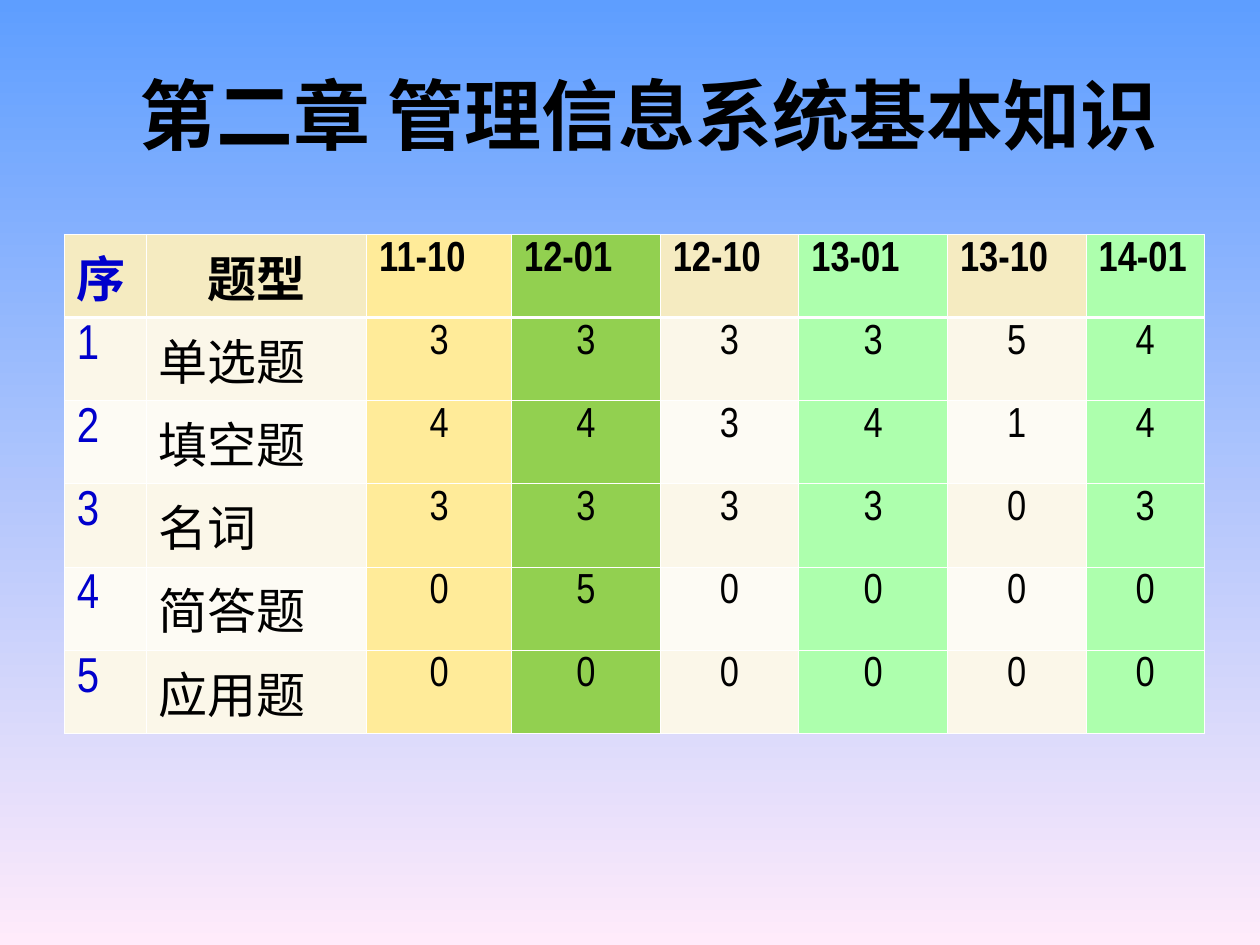
from lxml import etree
from pptx import Presentation
from pptx.dml.color import RGBColor
from pptx.enum import text
from pptx.oxml import ns
from pptx.util import Inches, Pt

LEFT, MID = text.PP_ALIGN.LEFT, text.PP_ALIGN.CENTER
BLACK, BLUE, WHITE = "000000", "0000CC", "FFFFFF"
HEAD, BANDS = "F5EBC1", ("FBF7E9", "FDFBF4")
TINTS = {2: "FFEB99", 3: "92D050", 5: "ADFFAD", 7: "ADFFAD"}
THIN, THICK = 0.45, 1.47

WIDTHS = [0.65, 1.75, 1.15, 1.18, 1.1, 1.18, 1.1, 0.94]
TERMS = ["11-10", "12-01", "12-10", "13-01", "13-10", "14-01"]
COUNTS = {
    "单选题": [3, 3, 3, 3, 5, 4],
    "填空题": [4, 4, 3, 4, 1, 4],
    "名词": [3, 3, 3, 3, 0, 3],
    "简答题": [0, 5, 0, 0, 0, 0],
    "应用题": [0, 0, 0, 0, 0, 0],
}


def rgb(code):
    return RGBColor.from_string(code)


class Page:
    def __init__(self, deck, font):
        self.slide = deck.slides.add_slide(deck.slide_layouts[6])
        self.font = font

    def backdrop(self, top, bottom):
        fill = self.slide.background.fill
        fill.gradient()
        fill.gradient_angle = 270
        for stop, code in zip(fill.gradient_stops, (top, bottom)):
            stop.color.rgb = rgb(code)

    def label(self, frame, words, size, color=BLACK, bold=False, align=LEFT):
        frame.text = words
        para = frame.paragraphs[0]
        para.alignment = align
        font = para.runs[0].font
        font.name, font.size, font.bold = self.font, Pt(size), bold
        font.color.rgb = rgb(color)

    def title(self, words, box):
        frame = self.slide.shapes.add_textbox(*map(Inches, box)).text_frame
        frame.word_wrap = True
        frame.vertical_anchor = text.MSO_ANCHOR.MIDDLE
        self.label(frame, words, 44, bold=True, align=MID)

    def border(self, cell, top, bottom):
        props = cell._tc.get_or_add_tcPr()
        for side, width in zip("LRTB", (THIN, THIN, top, bottom)):
            line = etree.SubElement(props, ns.qn(f"a:ln{side}"), w=str(Pt(width)))
            solid = etree.SubElement(line, ns.qn("a:solidFill"))
            etree.SubElement(solid, ns.qn("a:srgbClr"), val=WHITE)

    def table(self, rows, widths, left, top, height):
        """Tinted columns keep their colour; the others are banded by row."""
        grid = self.slide.shapes.add_table(
            len(rows), len(widths), Inches(left), Inches(top),
            Inches(sum(widths)), Inches(height * len(rows))).table
        for col, width in zip(grid.columns, widths):
            col.width = Inches(width)
        for r, row in enumerate(rows):
            grid.rows[r].height = Inches(height)
            base = BANDS[(r - 1) % 2] if r else HEAD
            for c, value in enumerate(row):
                cell = grid.cell(r, c)
                self.border(cell, THICK if r == 1 else THIN, THIN if r else THICK)
                cell.fill.solid()
                cell.fill.fore_color.rgb = rgb(TINTS.get(c, base))
                centred = c > 1 if r else c == 1
                self.label(cell.text_frame, str(value), 28 if c < 2 else 24,
                           BLACK if c else BLUE, r == 0, MID if centred else LEFT)


def main():
    deck = Presentation()
    deck.slide_width, deck.slide_height = Inches(10), Inches(7.5)
    page = Page(deck, "Arial Narrow")
    page.backdrop("5E9EFF", "FFEBFA")
    page.title("第二章 管理信息系统基本知识", (0.9, 0.28, 8.5, 1.25))
    rows = [["序", "题型", *TERMS]]
    rows += [[n, kind, *marks] for n, (kind, marks) in enumerate(COUNTS.items(), 1)]
    page.table(rows, WIDTHS, 0.51, 1.86, 0.66)
    deck.save("out.pptx")


if __name__ == "__main__":
    main()
